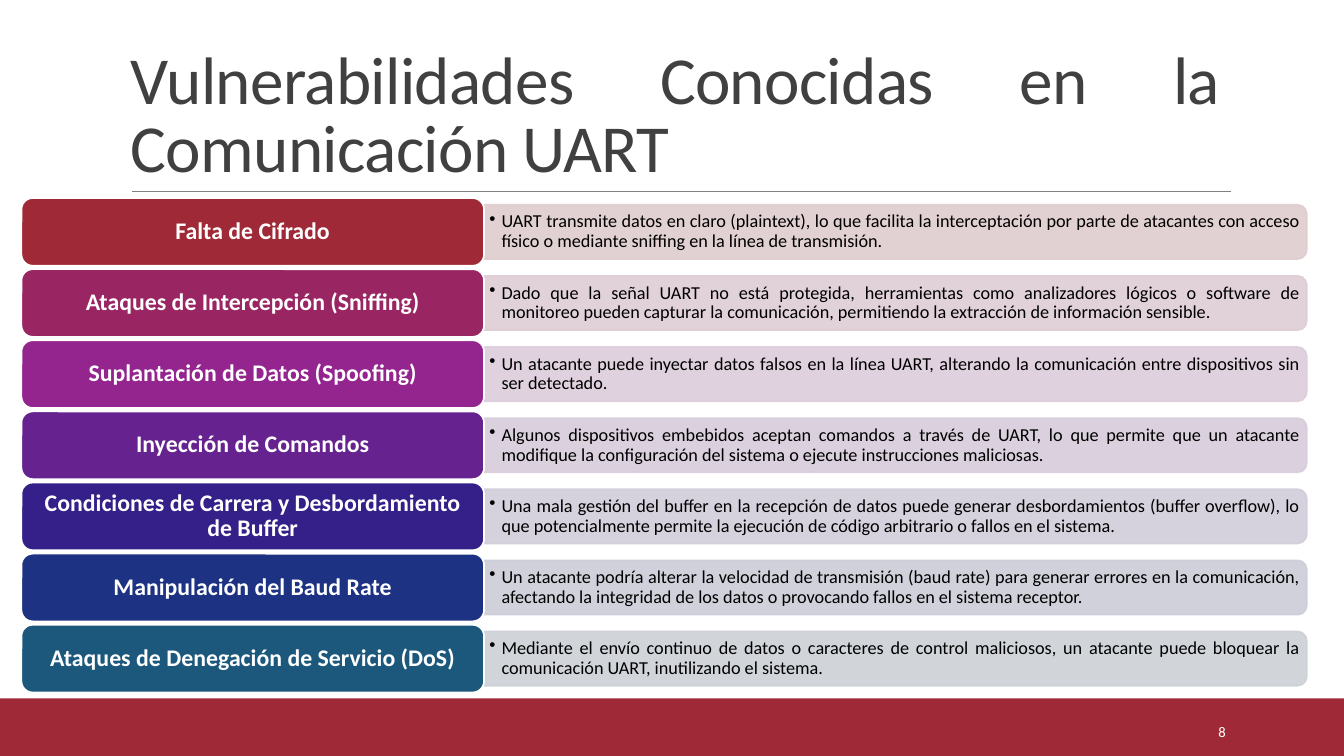
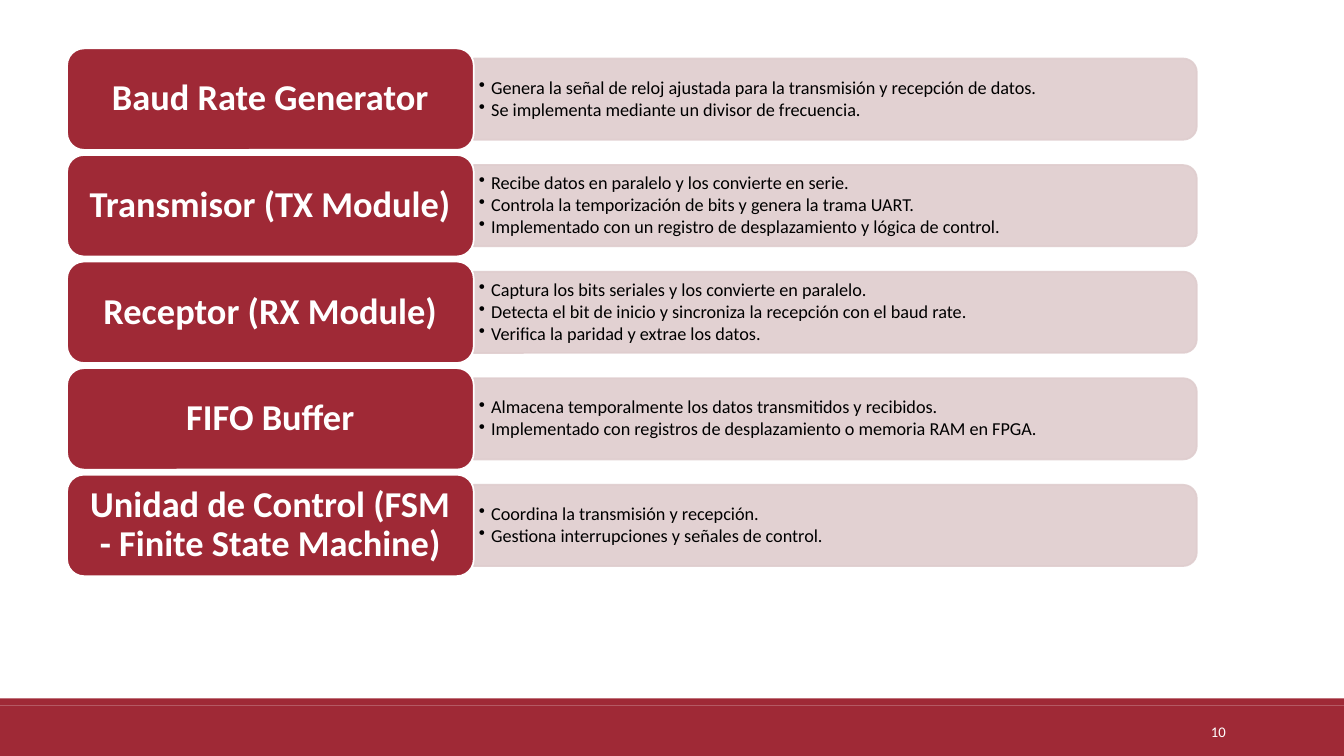
from pptx import Presentation, util as u
from pptx.dml.color import RGBColor
from pptx.enum import shapes, text
from pptx.oxml import ns
from lxml import etree

Cm, Pt = u.Cm, u.Pt
KIND, ALIGN, ANCHOR = shapes.MSO_SHAPE, text.PP_ALIGN, text.MSO_ANCHOR

# Shared look
FONT = "Calibri"
WIDE, HIGH = 33.87, 19.05
RED = RGBColor(0x9F, 0x29, 0x36)
ROSE = RGBColor(0xDF, 0xCD, 0xCE)
WHITE = RGBColor(0xFF, 0xFF, 0xFF)
BLACK = RGBColor(0, 0, 0)
DARK = RGBColor(0x40, 0x40, 0x40)
GRAY = RGBColor(0x80, 0x80, 0x80)
SHARE, GAP, THIN = 0.36, 0.05, 0.8  # label width, row gap, bar height
ROUND = 0.05  # inset caused by a rounded corner

# Rows: label, fill, bar tint, points
RISKS = [
    ("Falta de Cifrado", RED, ROSE, [
        "UART transmite datos en claro (plaintext), lo que facilita la interceptación por parte "
        "de atacantes con acceso físico o mediante sniffing en la línea de transmisión."]),
    ("Ataques de Intercepción (Sniffing)",
     RGBColor(0x99, 0x26, 0x63), RGBColor(0xDE, 0xCD, 0xD4), [
        "Dado que la señal UART no está protegida, herramientas como analizadores lógicos o "
        "software de monitoreo pueden capturar la comunicación, permitiendo la extracción de "
        "información sensible."]),
    ("Suplantación de Datos (Spoofing)",
     RGBColor(0x94, 0x24, 0x8E), RGBColor(0xDC, 0xCD, 0xDA), [
        "Un atacante puede inyectar datos falsos en la línea UART, alterando la comunicación "
        "entre dispositivos sin ser detectado."]),
    ("Inyección de Comandos",
     RGBColor(0x66, 0x22, 0x8E), RGBColor(0xD8, 0xCD, 0xDB), [
        "Algunos dispositivos embebidos aceptan comandos a través de UART, lo que permite que un "
        "atacante modifique la configuración del sistema o ejecute instrucciones maliciosas."]),
    ("Condiciones de Carrera y Desbordamiento de Buffer",
     RGBColor(0x35, 0x1F, 0x88), RGBColor(0xD1, 0xCD, 0xDA), [
        "Una mala gestión del buffer en la recepción de datos puede generar desbordamientos "
        "(buffer overflow), lo que potencialmente permite la ejecución de código arbitrario o "
        "fallos en el sistema."]),
    ("Manipulación del Baud Rate",
     RGBColor(0x1D, 0x32, 0x82), RGBColor(0xCC, 0xCD, 0xD8), [
        "Un atacante podría alterar la velocidad de transmisión (baud rate) para generar errores "
        "en la comunicación, afectando la integridad de los datos o provocando fallos en el "
        "sistema receptor."]),
    ("Ataques de Denegación de Servicio (DoS)",
     RGBColor(0x1B, 0x58, 0x7C), RGBColor(0xCC, 0xD1, 0xD7), [
        "Mediante el envío continuo de datos o caracteres de control maliciosos, un atacante "
        "puede bloquear la comunicación UART, inutilizando el sistema."]),
]
PARTS = [(name, RED, ROSE, points) for name, points in [
    ("Baud Rate Generator", [
        "Genera la señal de reloj ajustada para la transmisión y recepción de datos.",
        "Se implementa mediante un divisor de frecuencia."]),
    ("Transmisor (TX Module)", [
        "Recibe datos en paralelo y los convierte en serie.",
        "Controla la temporización de bits y genera la trama UART.",
        "Implementado con un registro de desplazamiento y lógica de control."]),
    ("Receptor (RX Module)", [
        "Captura los bits seriales y los convierte en paralelo.",
        "Detecta el bit de inicio y sincroniza la recepción con el baud rate.",
        "Verifica la paridad y extrae los datos."]),
    ("FIFO Buffer", [
        "Almacena temporalmente los datos transmitidos y recibidos.",
        "Implementado con registros de desplazamiento o memoria RAM en FPGA."]),
    ("Unidad de Control (FSM - Finite State Machine)", [
        "Coordina la transmisión y recepción.",
        "Gestiona interrupciones y señales de control."]),
]]


def add_form(slide, kind, box, fill, line=None):
    form = slide.shapes.add_shape(kind, *map(Cm, box))
    form.shadow.inherit = False
    form.fill.solid()
    form.fill.fore_color.rgb = fill
    if line is None:
        form.line.fill.background()
    else:
        form.line.color.rgb = line
        form.line.width = Pt(1.25)
    return form


def add_box(slide, box):
    return slide.shapes.add_textbox(*map(Cm, box))


def write(form, lines, size, color, align, pad=(0.25, 0.13),
          anchor=ANCHOR.MIDDLE, space=None, after=0, bold=False, dot=False):
    frame = form.text_frame
    frame.word_wrap = True
    frame.vertical_anchor = anchor
    frame.margin_left = frame.margin_right = Cm(pad[0])
    frame.margin_top = frame.margin_bottom = Cm(pad[1])
    frame.text = "\n".join(lines)
    for para in frame.paragraphs:
        para.alignment = align
        para.line_spacing = space
        para.space_after = Pt(after)
        if dot:
            props = para._p.get_or_add_pPr()
            props.set("marL", str(Cm(0.31)))
            props.set("indent", str(-Cm(0.31)))
            etree.SubElement(props, ns.qn("a:buChar")).set("char", "•")
        for run in para.runs:
            run.font.name = FONT
            run.font.size = Pt(size)
            run.font.bold = bold
            run.font.color.rgb = color


def fade(form):
    for tint in form._element.spPr.iter(ns.qn("a:srgbClr")):
        etree.SubElement(tint, ns.qn("a:alpha")).set("val", "90000")


def add_foot(slide, number, lip):
    # Red bands and slide number
    add_form(slide, KIND.RECTANGLE, (0, 17.78, WIDE, HIGH - 17.78), RED)
    add_form(slide, KIND.RECTANGLE, (0, 17.6, WIDE, lip), RED)
    write(add_box(slide, (27.51, 17.93, 3.63, 1.01)), [number], 10.5, WHITE, ALIGN.RIGHT)


def add_title(slide, words, box):
    # Title above a thin rule
    left, top, width, height = box
    form = add_box(slide, box)
    write(form, [words], 48, DARK, ALIGN.JUSTIFY, anchor=ANCHOR.BOTTOM, space=0.85, after=6)
    for run in form.text_frame.paragraphs[0].runs:
        run._r.get_or_add_rPr().set("spc", "-50")
    base = Cm(top + height)
    rule = slide.shapes.add_connector(
        shapes.MSO_CONNECTOR.STRAIGHT, Cm(left + 0.28), base, Cm(left + width + 0.02), base)
    rule.line.color.rgb = GRAY
    rule.line.width = Pt(0.5)
    etree.SubElement(rule._element.spPr, ns.qn("a:effectLst"))


def add_row(slide, row, box, size, align):
    name, fill, tint, points = row
    left, top, width, height = box
    side = width * SHARE
    long, tall = width - side, height * THIN
    start, mid = left + side, top + height / 2

    # Bar, turned so that its round corners face right
    bar = add_form(slide, KIND.ROUND_2_SAME_RECTANGLE,
                   (start + (long - tall) / 2, mid - long / 2, tall, long), tint, tint)
    bar.rotation = 90
    fade(bar)
    body = add_box(slide, (start, mid - tall / 2, long - ROUND * tall, tall))
    write(body, points, 13, BLACK, align, (0.13, 0.07), space=0.9, after=1.7, dot=True)

    # Label
    label = add_form(slide, KIND.ROUNDED_RECTANGLE, (left, top, side, height), fill, WHITE)
    pad = size * 0.01
    write(label, [name], size, WHITE, ALIGN.CENTER, (pad, pad / 2), space=0.9, bold=True)


def add_list(slide, rows, box, size, align):
    left, top, width, height = box
    tall = height / (len(rows) + GAP * (len(rows) - 1))
    for i, row in enumerate(rows):
        add_row(slide, row, (left, top + i * tall * (1 + GAP), width, tall), size, align)


def main():
    deck = Presentation()
    deck.slide_width, deck.slide_height = Cm(WIDE), Cm(HIGH)
    blank = deck.slide_layouts[6]

    # Known weaknesses
    slide = deck.slides.add_slide(blank)
    add_foot(slide, "8", 0.2)
    add_title(slide, "Vulnerabilidades Conocidas en la Comunicación UART",
              (3.05, 0.79, 27.94, 4.04))
    add_list(slide, RISKS, (0.54, 4.99, 32.39, 12.46), 17, ALIGN.JUSTIFY)

    # Modules
    slide = deck.slides.add_slide(blank)
    add_foot(slide, "10", 0.18)
    add_list(slide, PARTS, (1.69, 1.22, 28.47, 13.3), 26, ALIGN.LEFT)

    deck.save("out.pptx")


if __name__ == "__main__":
    main()
